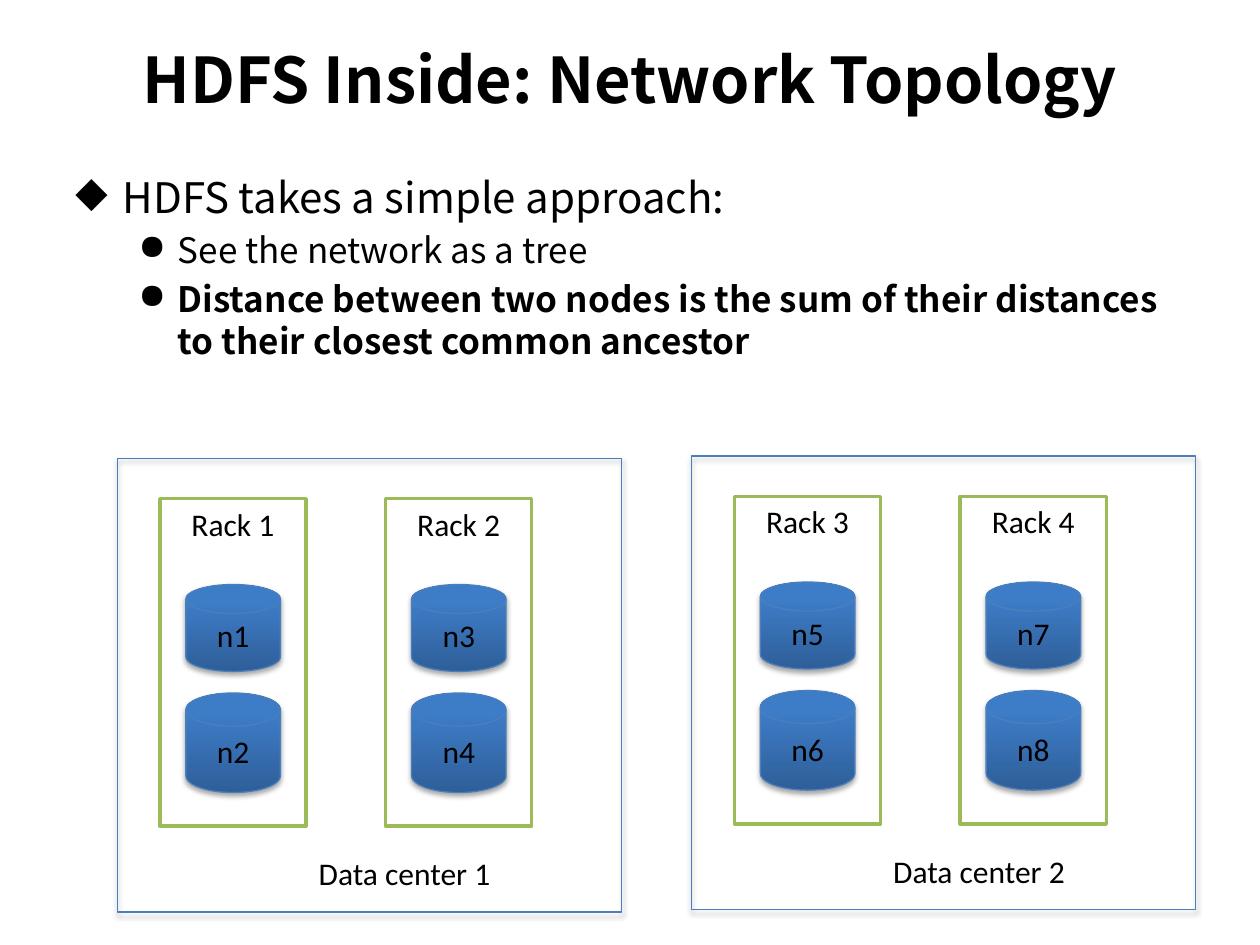
import pptx
import pptx.dml.color
import pptx.enum.shapes
import pptx.enum.text
import pptx.oxml
import pptx.oxml.ns
import pptx.util

Pt = pptx.util.Pt
SHAPES = pptx.enum.shapes.MSO_SHAPE
ANCHOR = pptx.enum.text.MSO_ANCHOR
ALIGN = pptx.enum.text.PP_ALIGN

# Content
TITLE = "HDFS Inside: Network Topology"
POINTS = [
    dict(text="HDFS takes a simple approach:", bullet="◆", size=24,
         left=27, hang=27, line=36),
    dict(text="See the network as a tree", bullet="●", size=20,
         left=58.5, hang=22.5, line=24, before=4),
    dict(text="Distance between two nodes is the sum of their distances "
              "to their closest common ancestor", bullet="●", size=20,
         left=58.5, hang=22.5, line=24, before=4, bold=True),
]
CENTERS = [
    dict(name="Data center 2", left=395.3, top=260.6,
         racks=[("Rack 3", ["n5", "n6"]), ("Rack 4", ["n7", "n8"])]),
    dict(name="Data center 1", left=67, top=262,
         racks=[("Rack 1", ["n1", "n2"]), ("Rack 2", ["n3", "n4"])]),
]

# Layout, in points
CENTER_SIZE = (288, 259.2)
RACK_SIZE = (83.5, 187.2)
RACK_START, RACK_STEP, RACK_DROP = 24.4, 129, 23
DISK_WIDTH, DISK_INDENT = 54, 14.8
DISKS = [(49, 49.7), (111, 56.9)]  # drop inside the rack, height
LABEL_OFFSET = (108, 222.5)
HEADING_FONT, LABEL_FONT = "Noto Sans CJK SC", "Calibri"
BLUE, GREEN = "4B7EBC", "9BBB59"


def color(value):
    return pptx.dml.color.RGBColor.from_string(value)


def add_xml(parent, xml):
    namespace = pptx.oxml.ns.nsdecls("a")
    parent.append(pptx.oxml.parse_xml(xml.replace(" ", f" {namespace} ", 1)))


def write(paragraph, text, font=LABEL_FONT, size=18, bold=False, align=None,
          bullet=None, left=0, hang=0, line=None, before=0):
    if bullet:
        properties = paragraph._p.get_or_add_pPr()
        properties.set("marL", str(Pt(left)))
        properties.set("indent", str(-Pt(hang)))
        add_xml(properties, f'<a:buChar char="{bullet}"/>')
    paragraph.alignment = align
    if line:
        paragraph.line_spacing = Pt(line)
    paragraph.space_before = Pt(before)
    span = paragraph.add_run()
    span.text = text
    span.font.name, span.font.size, span.font.bold = font, Pt(size), bold
    span.font.color.rgb = color("000000")


def add_text_box(page, left, top, width, height, anchor=ANCHOR.TOP):
    box = page.shapes.add_textbox(Pt(left), Pt(top), Pt(width), Pt(height))
    box.text_frame.word_wrap = True
    box.text_frame.vertical_anchor = anchor
    return box


def add_outline(page, kind, left, top, width, height, line, weight,
                text=None, anchor=ANCHOR.TOP, shadow=False):
    shape = page.shapes.add_shape(kind, Pt(left), Pt(top), Pt(width), Pt(height))
    shape.shadow.inherit = False
    shape.fill.background()
    shape.line.color.rgb = color(line)
    shape.line.width = Pt(weight)
    if shadow:
        effects = shape._element.spPr.find(pptx.oxml.ns.qn("a:effectLst"))
        add_xml(effects, f'<a:outerShdw blurRad="{Pt(3.1)}" dist="{Pt(1.8)}" '
                         'dir="5400000" rotWithShape="0"><a:srgbClr val="000000">'
                         '<a:alpha val="35000"/></a:srgbClr></a:outerShdw>')
    if text:
        shape.text_frame.vertical_anchor = anchor
        write(shape.text_frame.paragraphs[0], text, align=ALIGN.CENTER)
    return shape


def add_disk(page, name, left, top, height):
    disk = add_outline(page, SHAPES.FLOWCHART_MAGNETIC_DISK, left, top, DISK_WIDTH,
                       height, BLUE, 0.75, name, ANCHOR.MIDDLE, shadow=True)
    disk.fill.gradient()
    disk.fill.gradient_angle = 90
    stops = [(0, "2F5F99"), (0.8, "3D7CC7")]
    for stop, (position, value) in zip(disk.fill.gradient_stops, stops):
        stop.position = position
        stop.color.rgb = color(value)


def add_rack(page, name, nodes, left, top):
    rack = add_outline(page, SHAPES.RECTANGLE, left, top, *RACK_SIZE, GREEN, 2, name)
    rack.fill.solid()
    rack.fill.fore_color.rgb = color("FFFFFF")
    for node, (drop, height) in zip(nodes, DISKS):
        add_disk(page, node, left + DISK_INDENT, top + drop, height)


def add_center(page, name, left, top, racks):
    add_outline(page, SHAPES.RECTANGLE, left, top, *CENTER_SIZE, BLUE, 0.75, shadow=True)
    for index, (rack, nodes) in enumerate(racks):
        add_rack(page, rack, nodes, left + RACK_START + index * RACK_STEP, top + RACK_DROP)
    label = add_text_box(page, left + LABEL_OFFSET[0], top + LABEL_OFFSET[1], 129, 29)
    label.text_frame.auto_size = pptx.enum.text.MSO_AUTO_SIZE.SHAPE_TO_FIT_TEXT
    write(label.text_frame.paragraphs[0], name)


def main():
    deck = pptx.Presentation()
    deck.slide_width, deck.slide_height = Pt(720), Pt(540)
    page = deck.slides.add_slide(deck.slide_layouts[6])

    # Title and bullet points
    title = add_text_box(page, 36, 0, 648, 90, ANCHOR.MIDDLE)
    write(title.text_frame.paragraphs[0], TITLE, font=HEADING_FONT, size=36,
          bold=True, align=ALIGN.CENTER)
    body = add_text_box(page, 36, 87, 648, 375.8).text_frame
    for index, point in enumerate(POINTS):
        paragraph = body.add_paragraph() if index else body.paragraphs[0]
        write(paragraph, font=HEADING_FONT, **point)

    # Data centers with their racks and nodes
    for center in CENTERS:
        add_center(page, **center)

    deck.save("out.pptx")


if __name__ == "__main__":
    main()
